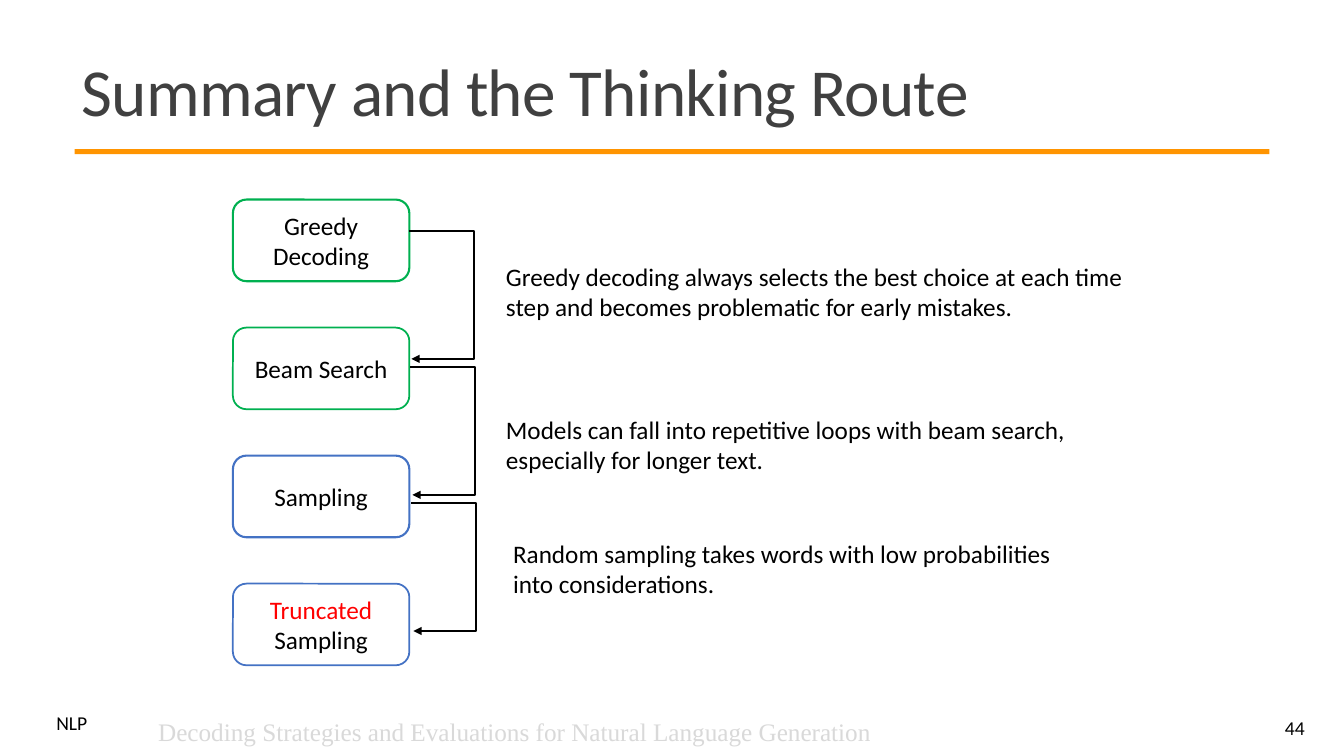
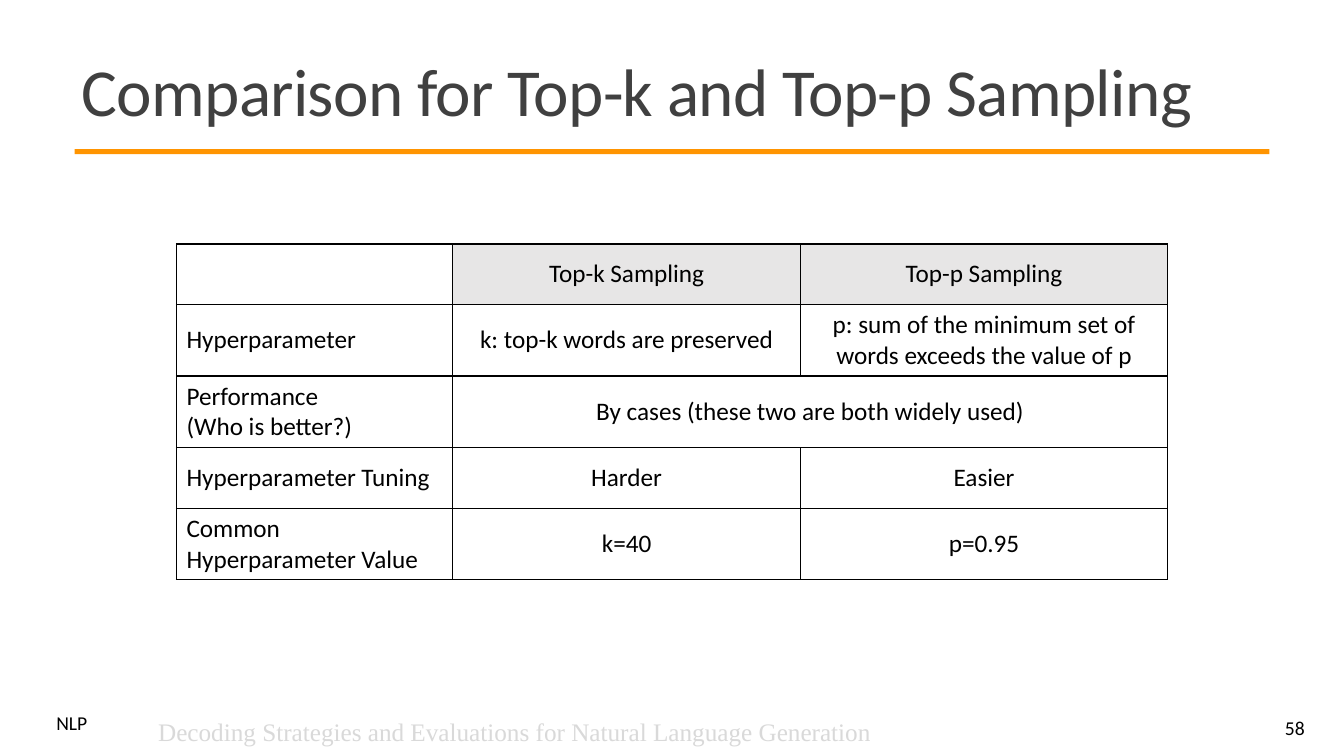
from dataclasses import dataclass

import lxml.etree
import pptx
import pptx.dml.color
import pptx.enum.shapes
import pptx.enum.text
import pptx.oxml.ns
import pptx.util

Inches = pptx.util.Inches
Pt = pptx.util.Pt
Align = pptx.enum.text.PP_ALIGN
Anchor = pptx.enum.text.MSO_ANCHOR
Fit = pptx.enum.text.MSO_AUTO_SIZE
Shape = pptx.enum.shapes.MSO_SHAPE

# Shared look
BLACK, GREY, PALE, HEAD = "000000", "404040", "D9D9D9", "E7E6E6"
ORANGE, GREEN, BLUE, RED = "FF9400", "00B050", "4472C4", "FF0000"
SANS, SERIF = "Calibri", "Times New Roman"
TOPIC = "Decoding Strategies and Evaluations for Natural Language Generation"


@dataclass
class Run:
    text: str
    color: str = BLACK
    size: float = 18
    font: str = SANS


@dataclass
class Step:
    runs: list[Run]
    edge: str
    width: float


@dataclass
class Note:
    text: str
    left: float
    top: float
    width: float


def rgb(code: str) -> pptx.dml.color.RGBColor:
    return pptx.dml.color.RGBColor.from_string(code)


def add_tag(parent, tag: str, **attrs: str):
    """Append one drawing element to an XML parent."""
    node = lxml.etree.SubElement(parent, pptx.oxml.ns.qn(tag))
    for key, value in attrs.items():
        node.set(key, value)
    return node


def write(para, runs: list[Run], align=Align.LEFT) -> None:
    para.alignment = align
    for part in runs:
        run = para.add_run()
        run.text = part.text
        run.font.size = Pt(part.size)
        run.font.name = part.font
        run.font.color.rgb = rgb(part.color)


def add_text(slide, left: float, top: float, width: float, height: float,
             run: Run, align=Align.LEFT, anchor=Anchor.TOP):
    box = slide.shapes.add_textbox(
        Inches(left), Inches(top), Inches(width), Inches(height))
    frame = box.text_frame
    frame.word_wrap = True
    frame.auto_size = Fit.NONE
    frame.vertical_anchor = anchor
    write(frame.paragraphs[0], [run], align)
    return frame.paragraphs[0]


def add_slide(deck, title: str, number: str):
    """Add a slide with the title, band and footer all slides share."""
    slide = deck.slides.add_slide(deck.slide_layouts[5])

    # Orange band
    band = slide.shapes.add_shape(
        Shape.RECTANGLE, Inches(0.74), Inches(1.48), Inches(11.85), Inches(0.05))
    band.shadow.inherit = False
    band.fill.solid()
    band.fill.fore_color.rgb = rgb(ORANGE)
    band.line.fill.background()

    # Title
    head = slide.shapes.title
    head.left, head.top = Inches(0.71), Inches(0.39)
    head.width, head.height = Inches(11.94), Inches(1.13)
    frame = head.text_frame
    frame.auto_size = Fit.NONE
    frame.vertical_anchor = Anchor.MIDDLE
    para = frame.paragraphs[0]
    para.line_spacing = 0.85
    write(para, [Run(title, GREY, 48)])
    para.runs[0].font._element.set("spc", "-50")

    # Footer
    add_text(slide, 0.46, 7.05, 0.61, 0.29, Run("NLP", size=14)).line_spacing = 0.8
    add_text(slide, 11.61, 7.02, 1.43, 0.4, Run(number, size=14),
             Align.RIGHT, Anchor.MIDDLE)
    add_text(slide, 1.47, 7.06, 7.52, 0.4, Run(TOPIC, PALE, font=SERIF))
    return slide


def add_step(slide, step: Step, top: float) -> None:
    box = slide.shapes.add_shape(
        Shape.ROUNDED_RECTANGLE, Inches(2.31), Inches(top), Inches(1.75), Inches(0.81))
    box.shadow.inherit = False
    box.fill.background()
    box.line.color.rgb = rgb(step.edge)
    box.line.width = Pt(step.width)
    box.text_frame.word_wrap = True
    box.text_frame.vertical_anchor = Anchor.MIDDLE
    write(box.text_frame.paragraphs[0], step.runs, Align.CENTER)


def add_arrow(slide, left: float, top: float) -> None:
    """Draw an elbow that bulges right and returns one step lower."""
    width, bulge, drop = 0.02, 0.64, 1.27
    line = slide.shapes.add_connector(
        pptx.enum.shapes.MSO_CONNECTOR.ELBOW, Inches(left), Inches(top),
        Inches(left + width), Inches(top + drop))
    line.line.color.rgb = rgb(BLACK)
    line.line.width = Pt(1.5)
    props = line._element.spPr
    guides = props.find(".//" + pptx.oxml.ns.qn("a:avLst"))
    if guides is None:
        guides = add_tag(props.find(pptx.oxml.ns.qn("a:prstGeom")), "a:avLst")
    add_tag(guides, "a:gd", name="adj1", fmla=f"val {round(bulge / width * 100000)}")
    add_tag(props.find(pptx.oxml.ns.qn("a:ln")), "a:tailEnd", type="triangle")
    add_tag(props, "a:effectLst")


def fill_cell(cell, text: str, align, shade: str = "") -> None:
    props = cell._tc.get_or_add_tcPr()
    for side in ("a:lnL", "a:lnR", "a:lnT", "a:lnB"):
        edge = add_tag(props, side, w=str(Pt(1)))
        add_tag(add_tag(edge, "a:solidFill"), "a:srgbClr", val=BLACK)
    if shade:
        cell.fill.solid()
        cell.fill.fore_color.rgb = rgb(shade)
    else:
        cell.fill.background()
    cell.vertical_anchor = Anchor.MIDDLE
    if text:
        frame = cell.text_frame
        for i, row in enumerate(text.split("\n")):
            para = frame.add_paragraph() if i else frame.paragraphs[0]
            write(para, [Run(row)], align)


def add_grid(slide, rows: list[list[str]], widths: list[float]) -> None:
    """Draw the table; a short row merges its last cell to the right edge."""
    high = 0.6
    grid = slide.shapes.add_table(
        len(rows), len(widths), Inches(1.75), Inches(2.42),
        Inches(sum(widths)), Inches(high * len(rows))).table
    grid.first_row = grid.horz_banding = False
    for col, width in zip(grid.columns, widths):
        col.width = Inches(width)
    last = len(widths) - 1
    for r, texts in enumerate(rows):
        grid.rows[r].height = Inches(high)
        for c in range(len(widths)):
            text = texts[c] if c < len(texts) else ""
            fill_cell(grid.cell(r, c), text, Align.CENTER if c else Align.LEFT,
                      HEAD if r == 0 and c else "")
        if len(texts) <= last:
            grid.cell(r, len(texts) - 1).merge(grid.cell(r, last))


def add_route(deck) -> None:
    slide = add_slide(deck, "Summary and the Thinking Route", "44")
    steps = [
        Step([Run("Greedy Decoding")], GREEN, 1.5),
        Step([Run("Beam Search")], GREEN, 1.25),
        Step([Run("Sampling")], BLUE, 1.5),
        Step([Run("Truncated", RED), Run(" Sampling")], BLUE, 1.25),
    ]
    for i, step in enumerate(steps):
        add_step(slide, step, 1.98 + 1.27 * i)
    for i in range(len(steps) - 1):
        add_arrow(slide, 4.06 + 0.01 * i, 2.29 + 1.35 * i)
    notes = [
        Note("Greedy decoding always selects the best choice at each time step "
             "and becomes problematic for early mistakes.", 4.92, 2.54, 6.62),
        Note("Models can fall into repetitive loops with beam search, "
             "especially for longer text.", 4.92, 4.06, 5.83),
        Note("Random sampling takes words with low probabilities "
             "into considerations.", 4.99, 5.29, 5.83),
    ]
    for note in notes:
        add_text(slide, note.left, note.top, note.width, 0.71, Run(note.text))


def add_match(deck) -> None:
    slide = add_slide(deck, "Comparison for Top-k and Top-p Sampling", "58")
    rows = [
        ["", "Top-k Sampling", "Top-p Sampling"],
        ["Hyperparameter", "k: top-k words are preserved",
         "p: sum of the minimum set of words exceeds the value of p"],
        ["Performance\n(Who is better?)", "By cases (these two are both widely used)"],
        ["Hyperparameter Tuning", "Harder", "Easier"],
        ["Common Hyperparameter Value", "k=40", "p=0.95"],
    ]
    add_grid(slide, rows, [2.74, 3.45, 3.64])


def main() -> None:
    deck = pptx.Presentation()
    deck.slide_width, deck.slide_height = Inches(13.33), Inches(7.5)
    add_route(deck)
    add_match(deck)
    deck.save("out.pptx")


if __name__ == "__main__":
    main()
